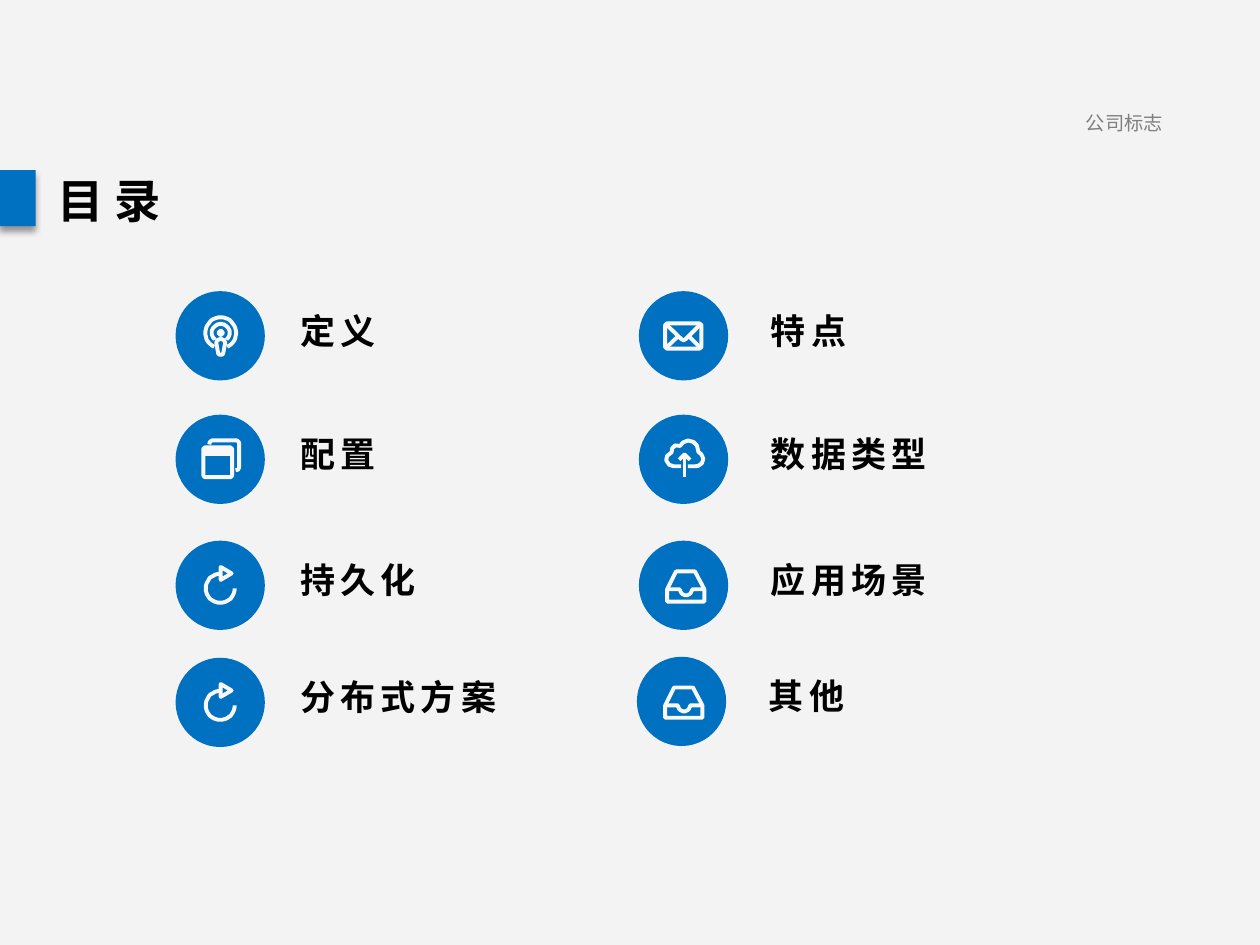
import math

from lxml import etree
from pptx import Presentation
from pptx import util as u
from pptx.dml.color import RGBColor
from pptx.enum import shapes, text
from pptx.oxml import ns

COLORS = {"panel": "F2F2F2", "blue": "0070C0", "icon": "F8F8F8",
          "black": "000000", "grey": "7F7F7F"}
CJK_FONT = "Noto Sans CJK SC"
CIRCLE = 1.8


def add_text(container, words, left, top, width, height, size, color="black",
             font="Montserrat", bold=False, spacing=0, wrap=False,
             align=text.PP_ALIGN.LEFT):
    box = container.add_textbox(u.Cm(left), u.Cm(top), u.Cm(width), u.Cm(height))
    box.text_frame.word_wrap = wrap
    paragraph = box.text_frame.paragraphs[0]
    paragraph.alignment = align
    run = paragraph.add_run()
    run.text = words
    run.font.size = u.Pt(size)
    run.font.bold = bold
    run.font.color.rgb = RGBColor.from_string(COLORS[color])
    run.font.name = font
    properties = run.font._element
    properties.set("spc", str(spacing * 100))
    etree.SubElement(properties, ns.qn("a:ea"), typeface=CJK_FONT)


def arc(x, y, radius, start, end):
    """Return points along a circle, with angles in degrees clockwise from the right."""
    steps = 36
    angles = [math.radians(start + (end - start) * i / steps) for i in range(steps + 1)]
    return [(x + radius * math.cos(a), y + radius * math.sin(a)) for a in angles]


# Icon strokes as (points, closed), in hundredths of a centimetre from the circle centre
ICONS = {
    "podcast": [
        (arc(1, -6, 31, 115, 425), False),
        (arc(1, -6, 18, 130, 410), False),
        (arc(1, -6, 4, 0, 360), True),
        ([(-8, 14), (-6, 9), (1, 6), (8, 9), (10, 14), (6, 36), (4, 38),
          (-2, 38), (-4, 36)], True),
    ],
    "windows": [
        ([(-34, -21), (-31, -24), (21, -24), (24, -21), (24, 33), (21, 36),
          (-31, 36), (-34, 33)], True),
        ([(-34, -10), (24, -10)], False),
        ([(-30, -17), (20, -17)], False),
        ([(-22, -30), (-21, -35), (-17, -38), (34, -38), (38, -34), (38, 17),
          (36, 21), (31, 22)], False),
    ],
    "refresh": [
        (arc(0, 6, 29, -90, -360), False),
        ([(1, -37), (23, -24), (1, -11)], True),
    ],
    "mail": [
        ([(-37, -22), (-33, -25), (32, -25), (36, -22), (36, 23), (32, 26),
          (-33, 26), (-37, 23)], True),
        ([(-35, -23), (-4, 7), (0, 9), (4, 7), (34, -23)], False),
        ([(-35, 24), (-13, 3)], False),
        ([(34, 24), (13, 3)], False),
    ],
    "cloud": [
        ([(-5, 14), (-20, 14), (-29, 11), (-35, 2), (-33, -7), (-24, -14),
          (-23, -22), (-17, -28), (-7, -27), (-1, -34), (9, -38), (20, -35),
          (27, -28), (30, -15), (36, -10), (40, -1), (37, 8), (30, 13),
          (24, 14), (9, 14)], False),
        ([(2, -10), (2, 36)], False),
        ([(-9, 1), (2, -10), (13, 1)], False),
    ],
    "tray": [
        ([(-33, 8), (-15, -28), (23, -28), (42, 8), (42, 33), (-33, 33)], True),
        ([(-33, 8), *arc(5, 8, 12, 180, 0), (42, 8)], False),
    ],
}

# Label, icon, left and top of the circle, distance from circle to label
ROW_TOPS = [5.87, 8.36, 10.9, 13.26]
LEFT_ITEMS = [("定义", "podcast"), ("配置", "windows"),
              ("持久化", "refresh"), ("分布式方案", "refresh")]
RIGHT_ITEMS = [("特点", "mail"), ("数据类型", "cloud"),
               ("应用场景", "tray"), ("其他", "tray")]
entries = [(*item, 3.54, top, 2.26) for item, top in zip(LEFT_ITEMS, ROW_TOPS)]
entries += [(*item, 12.88, top, 2.41) for item, top in zip(RIGHT_ITEMS, ROW_TOPS)]
entries[-1] = (*RIGHT_ITEMS[-1], 12.84, 13.24, 2.41)

presentation = Presentation()
presentation.slide_width, presentation.slide_height = u.Cm(25.4), u.Cm(19.05)
slide = presentation.slides.add_slide(presentation.slide_layouts[6])

# Backdrop and title marker
blocks = []
for left, top, width, height, color in [(0, 0, 25.4, 19.05, "panel"),
                                        (-0.02, 3.43, 0.74, 1.13, "blue")]:
    block = slide.shapes.add_shape(shapes.MSO_SHAPE.RECTANGLE, u.Cm(left), u.Cm(top),
                                   u.Cm(width), u.Cm(height))
    block.shadow.inherit = False
    block.fill.solid()
    block.fill.fore_color.rgb = RGBColor.from_string(COLORS[color])
    block.line.fill.background()
    blocks.append(block)
backdrop, marker = blocks
backdrop_color = backdrop._element.spPr.find(ns.qn("a:solidFill"))[0]
etree.SubElement(backdrop_color, ns.qn("a:alpha"), val="92000")
effects = marker._element.spPr.find(ns.qn("a:effectLst"))
shadow = etree.SubElement(effects, ns.qn("a:outerShdw"), blurRad=str(u.Pt(4)),
                          dist=str(u.Pt(3)), dir="5400000", rotWithShape="0")
shadow_color = etree.SubElement(shadow, ns.qn("a:srgbClr"), val=COLORS["black"])
etree.SubElement(shadow_color, ns.qn("a:alpha"), val="40000")

add_text(slide.shapes, "公司标志", 21.64, 2.11, 2.69, 0.74, size=11, color="grey", wrap=True)
add_text(slide.shapes, "目 录", 0.86, 3.35, 2.67, 1.45, size=26.5, font=CJK_FONT,
         bold=True, align=text.PP_ALIGN.CENTER)

# Contents entries
for label, icon_name, left, top, label_gap in entries:
    group = slide.shapes.add_group_shape()
    circle = group.shapes.add_shape(shapes.MSO_SHAPE.OVAL, u.Cm(left), u.Cm(top),
                                    u.Cm(CIRCLE), u.Cm(CIRCLE))
    circle.shadow.inherit = False
    circle.fill.solid()
    circle.fill.fore_color.rgb = RGBColor.from_string(COLORS["blue"])
    circle.line.fill.background()

    strokes = ICONS[icon_name]
    builder = group.shapes.build_freeform(*strokes[0][0][0], scale=u.Cm(0.01))
    for index, (points, closed) in enumerate(strokes):
        if index:
            builder.move_to(*points[0])
        builder.add_line_segments(points[1:], close=closed)
    icon = builder.convert_to_shape(u.Cm(left + CIRCLE / 2), u.Cm(top + CIRCLE / 2))
    icon.shadow.inherit = False
    icon.fill.background()
    icon.line.color.rgb = RGBColor.from_string(COLORS["icon"])
    icon.line.width = u.Pt(2.25)
    etree.SubElement(icon._element.spPr.find(ns.qn("a:ln")), ns.qn("a:round"))

    add_text(group.shapes, label, left + label_gap, top + 0.24,
             0.51 + 0.83 * len(label), 1.12, size=20, bold=True, spacing=3)

presentation.save("out.pptx")
